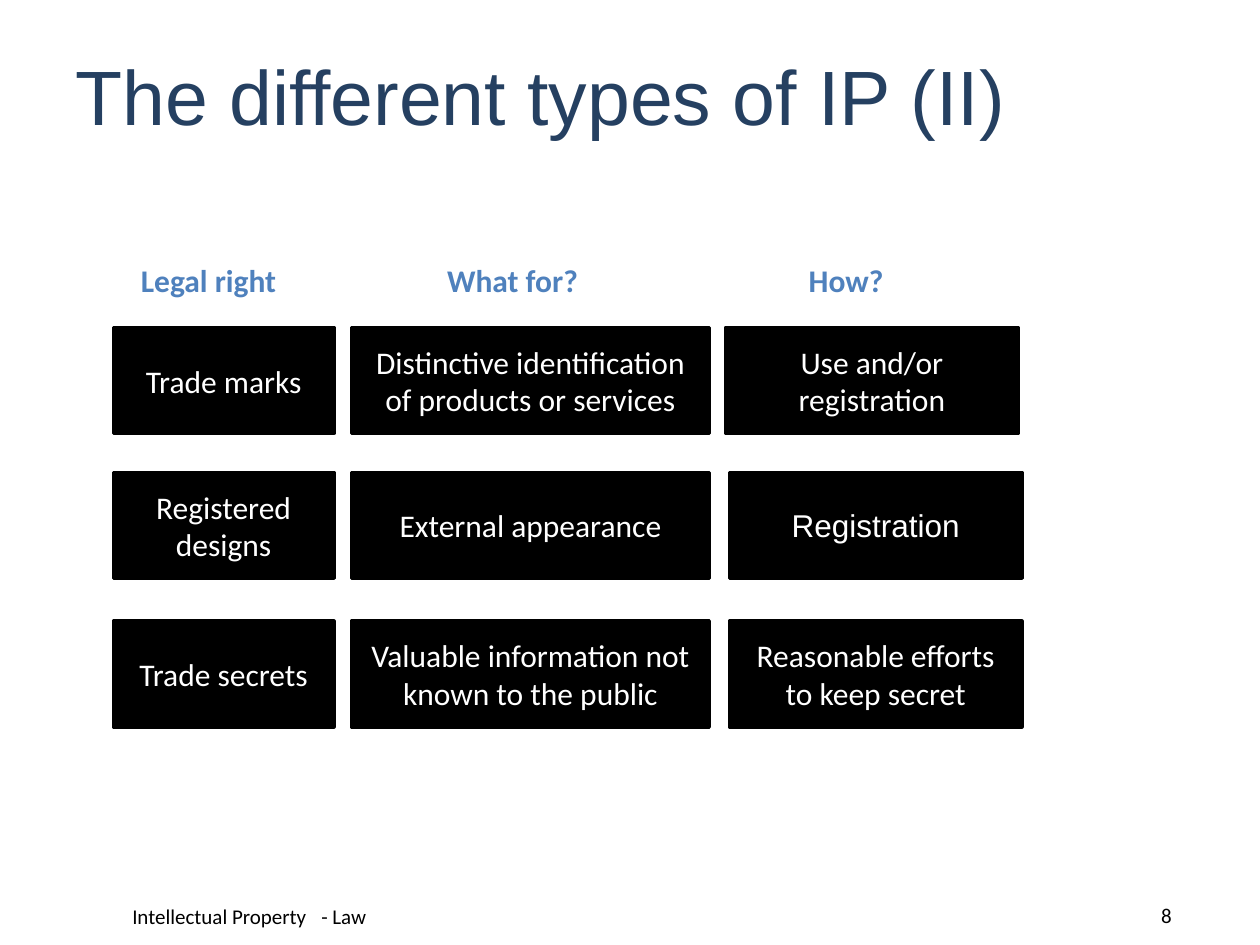
from lxml import etree
from pptx import Presentation
from pptx.dml.color import RGBColor
from pptx.enum.shapes import MSO_SHAPE
from pptx.enum.text import MSO_ANCHOR, PP_ALIGN
from pptx.oxml.ns import qn
from pptx.util import Inches, Pt

RECTANGLE = MSO_SHAPE.RECTANGLE
TOP, MIDDLE = MSO_ANCHOR.TOP, MSO_ANCHOR.MIDDLE
LEFT, CENTER, RIGHT = PP_ALIGN.LEFT, PP_ALIGN.CENTER, PP_ALIGN.RIGHT

NAVY = RGBColor(0x25, 0x40, 0x61)
BLUE = RGBColor(0x4F, 0x81, 0xBD)
BLACK = RGBColor(0, 0, 0)
WHITE = RGBColor(255, 255, 255)

BOX_HEIGHT = 0.84
ROW_TOPS = (2.6, 3.75, 4.93)
# Header text, header left, header width, box left, box width
COLUMNS = (
    ("Legal right", 1.02, 1.5, 0.9, 1.75),
    ("What for?", 3.45, 1.37, 2.79, 2.84),
    ("How?", 6.32, 0.88, 5.79, 2.32),
)
ROWS = (
    ("Trade marks", "Distinctive identification of products or services",
     "Use and/or\nregistration"),
    ("Registered designs", "External appearance", "Registration"),
    ("Trade secrets", "Valuable information not known to the public",
     "Reasonable efforts to keep secret"),
)
# Cells that depart from the grid, by text
BOX_LEFTS = {"Use and/or\nregistration": 5.76}
BOX_FONTS = {"Registration": "Arial"}


def set_text(tf, text, size, color, align=LEFT, font="Calibri", bold=False):
    """Fill a text frame, one paragraph per line of text."""
    tf.text = text
    for p in tf.paragraphs:
        p.alignment = align
        p.font.name = font
        p.font.size = Pt(size)
        p.font.bold = bold
        p.font.color.rgb = color


def add_title(s, text):
    title = s.shapes.title
    title.left, title.top = Inches(0.5), Inches(0.3)
    title.width, title.height = Inches(9), Inches(0.9)
    title.text_frame.vertical_anchor = MIDDLE
    set_text(title.text_frame, text, 44, NAVY, font="Arial")


def add_label(s, left, top, width, height):
    tf = s.shapes.add_textbox(Inches(left), Inches(top), Inches(width),
                              Inches(height)).text_frame
    tf.word_wrap = True
    return tf


def add_header(s, text, left, width):
    tf = add_label(s, left, 2.02, width, 0.4)
    set_text(tf, text, 18, BLUE, bold=True)


def add_box(s, text, left, top, width):
    sp = s.shapes.add_shape(RECTANGLE, Inches(left), Inches(top),
                            Inches(width), Inches(BOX_HEIGHT))
    sp.shadow.inherit = False
    sp.fill.solid()
    sp.fill.fore_color.rgb = BLACK
    sp.line.color.rgb = BLACK
    sp.line.width = Pt(2)
    sp.text_frame.vertical_anchor = MIDDLE
    set_text(sp.text_frame, text, 18, WHITE, CENTER,
             BOX_FONTS.get(text, "Calibri"))


def add_footer(s, text, left, top, width, align=LEFT, anchor=TOP, tab=None):
    tf = add_label(s, left, top, width, 0.24)
    tf.margin_left = tf.margin_right = tf.margin_top = tf.margin_bottom = 0
    tf.vertical_anchor = anchor
    if tab:
        tabs = etree.SubElement(tf.paragraphs[0]._p.get_or_add_pPr(),
                                qn("a:tabLst"))
        etree.SubElement(tabs, qn("a:tab"), pos=str(Inches(tab)), algn="l")
    set_text(tf, text, 12, BLACK, align)


def main():
    prs = Presentation()
    prs.slide_width, prs.slide_height = Inches(10), Inches(7.5)
    s = prs.slides.add_slide(prs.slide_layouts[5])

    add_title(s, "The different types of IP (II)")
    for header, left, width, _, _ in COLUMNS:
        add_header(s, header, left, width)
    for top, row in zip(ROW_TOPS, ROWS):
        for text, (_, _, _, left, width) in zip(row, COLUMNS):
            add_box(s, text, BOX_LEFTS.get(text, left), top, width)
    add_footer(s, "Intellectual Property\t- Law", 1.05, 7.17, 5.5, tab=1.49)
    add_footer(s, "8", 8.47, 7.14, 0.83, RIGHT, MIDDLE)

    prs.save("out.pptx")


if __name__ == "__main__":
    main()
